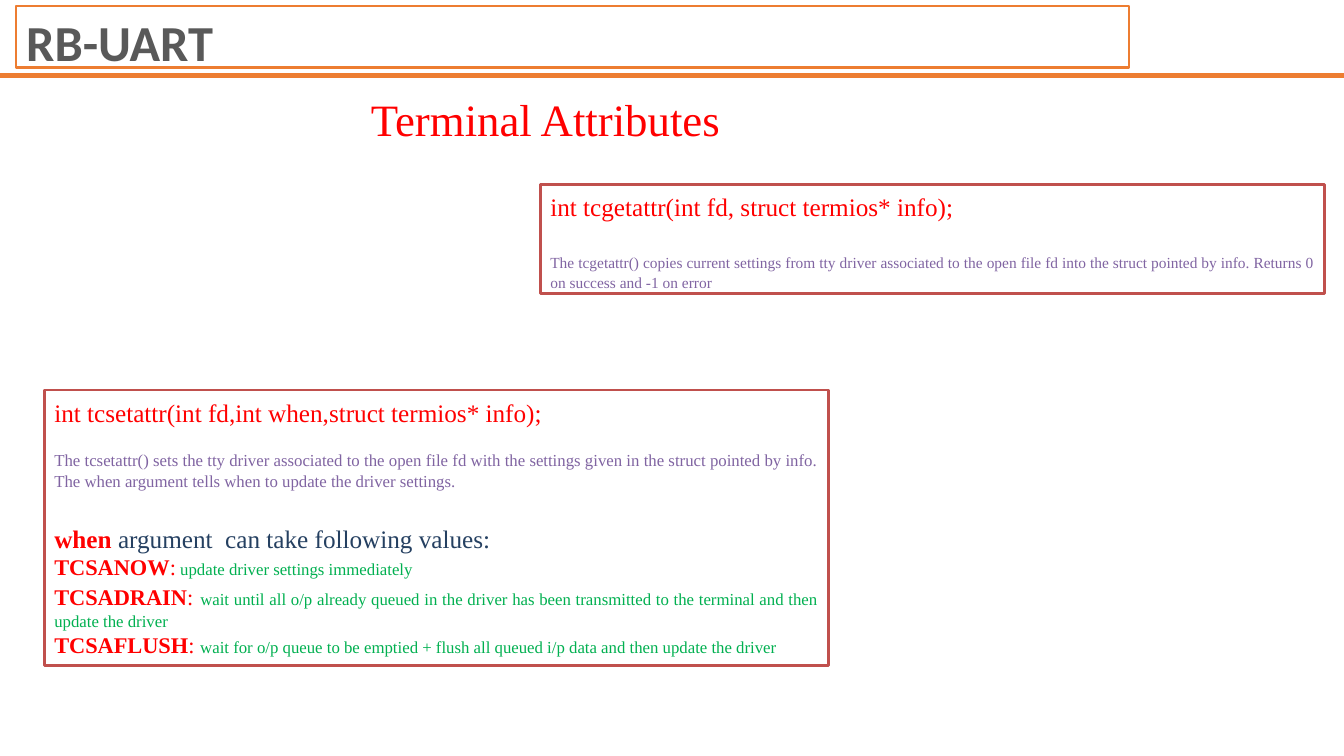
from dataclasses import dataclass

from lxml.etree import SubElement
from pptx import Presentation
from pptx.dml.color import RGBColor
from pptx.enum.shapes import MSO_CONNECTOR, MSO_SHAPE
from pptx.enum.text import MSO_ANCHOR, MSO_AUTO_SIZE, PP_ALIGN
from pptx.oxml.ns import qn
from pptx.util import Inches, Pt

COLORS = {
    "white": "FFFFFF",
    "black": "000000",
    "gray": "595959",
    "orange": "ED7D31",
    "brick": "C0504D",
    "red": "FF0000",
    "purple": "8064A2",
    "navy": "254061",
    "green": "00B050",
}
SERIF = "Times New Roman"


@dataclass
class Span:
    text: str
    size: float
    color: str
    bold: bool = False


@dataclass
class Line:
    spans: list[Span]
    before: float = 0
    spacing: float = 1.06
    align: PP_ALIGN = PP_ALIGN.JUSTIFY


@dataclass
class Card:
    left: float
    top: float
    height: float
    lines: list[Line]


def rgb(name: str) -> RGBColor:
    """Look up a named colour."""
    return RGBColor.from_string(COLORS[name])


def add_text(para, text: str, *, size: float, color: str, bold: bool = False, font: str = SERIF) -> None:
    """Append a formatted run to a paragraph."""
    span = para.add_run()
    span.text = text
    span.font.name = font
    span.font.size = Pt(size)
    span.font.bold = bold
    span.font.color.rgb = rgb(color)


def place(box, left: float, top: float, width: float, height: float) -> None:
    """Position a box and fix its text frame settings."""
    box.left, box.top = Inches(left), Inches(top)
    box.width, box.height = Inches(width), Inches(height)
    frame = box.text_frame
    frame.word_wrap = True
    frame.auto_size = MSO_AUTO_SIZE.NONE
    frame.vertical_anchor = MSO_ANCHOR.TOP
    frame.margin_left = frame.margin_right = Inches(0.1)
    frame.margin_top = frame.margin_bottom = Inches(0.05)


def signature(text: str) -> Line:
    """Describe the prototype line that heads a card."""
    return Line([Span(text, 18, "red")], align=PP_ALIGN.LEFT)


def value(name: str, meaning: str, gap_size: float) -> Line:
    """Describe one value of the when argument."""
    return Line(
        [
            Span(name, 16, "red", True),
            Span(":", 16, "red"),
            Span(" ", gap_size, "black"),
            Span(meaning, 12, "green"),
        ],
        spacing=1.0,
    )


CARDS = [
    Card(5.36, 1.83, 1.08, [
        signature("int tcgetattr(int fd, struct termios* info);"),
        Line([Span(
            "The tcgetattr() copies current settings from tty driver associated to the open file fd "
            "into the struct pointed by info. Returns 0 on success and -1 on error", 11, "purple")], 22),
    ]),
    Card(0.44, 3.87, 2.73, [
        signature("int tcsetattr(int fd,int when,struct termios* info);"),
        Line([Span(
            "The tcsetattr() sets the tty driver associated to the open file fd with the settings given "
            "in the struct pointed by info. The when argument tells when to update the driver settings.",
            12, "purple")], 15),
        Line([Span("when ", 18, "red", True),
              Span("argument  can take following values:", 18, "navy")], 22),
        value("TCSANOW", "update driver settings immediately", 12),
        value("TCSADRAIN", "wait until all o/p already queued in the driver has been transmitted "
              "to the terminal and then update the driver", 18),
        value("TCSAFLUSH", "wait for o/p queue to be emptied + flush all queued i/p data "
              "and then update the driver", 16),
    ]),
]


def add_rule(page) -> None:
    """Draw the rule below the header."""
    rule = page.shapes.add_connector(
        MSO_CONNECTOR.STRAIGHT, Inches(0), Inches(0.75), Inches(13.33), Inches(0.75))
    rule.line.color.rgb = rgb("orange")
    rule.line.width = Pt(3)
    SubElement(rule._element.spPr, qn("a:effectLst"))


def add_header(page) -> None:
    """Fill and frame the title placeholder."""
    title = page.shapes.title
    place(title, 0.16, 0.06, 11.04, 0.61)
    title.line.color.rgb = rgb("orange")
    title.line.width = Pt(1.5)
    para = title.text_frame.paragraphs[0]
    para.alignment = PP_ALIGN.LEFT
    add_text(para, "RB-UART", size=36, color="gray", bold=True, font="Calibri")


def add_heading(page) -> None:
    """Add the topic heading."""
    box = page.shapes.add_textbox(0, 0, 0, 0)
    place(box, 3.58, 0.86, 3.93, 0.64)
    add_text(box.text_frame.paragraphs[0], "Terminal Attributes", size=32, color="red")


def add_card(page, card: Card) -> None:
    """Draw a framed function description."""
    box = page.shapes.add_shape(MSO_SHAPE.RECTANGLE, 0, 0, 0, 0)
    place(box, card.left, card.top, 7.78, card.height)
    box.shadow.inherit = False
    box.fill.solid()
    box.fill.fore_color.rgb = rgb("white")
    box.line.color.rgb = rgb("brick")
    box.line.width = Pt(2)
    frame = box.text_frame
    for index, line in enumerate(card.lines):
        para = frame.add_paragraph() if index else frame.paragraphs[0]
        para.alignment = line.align
        para.line_spacing = line.spacing
        if line.before:
            para.space_before = Pt(line.before)
        for span in line.spans:
            add_text(para, span.text, size=span.size, color=span.color, bold=span.bold)


def main() -> None:
    """Build and save the slide."""
    deck = Presentation()
    deck.slide_width, deck.slide_height = Inches(13.33), Inches(7.5)
    page = deck.slides.add_slide(deck.slide_layouts[5])
    add_rule(page)
    add_header(page)
    add_heading(page)
    for card in CARDS:
        add_card(page, card)
    deck.save("out.pptx")


if __name__ == "__main__":
    main()
